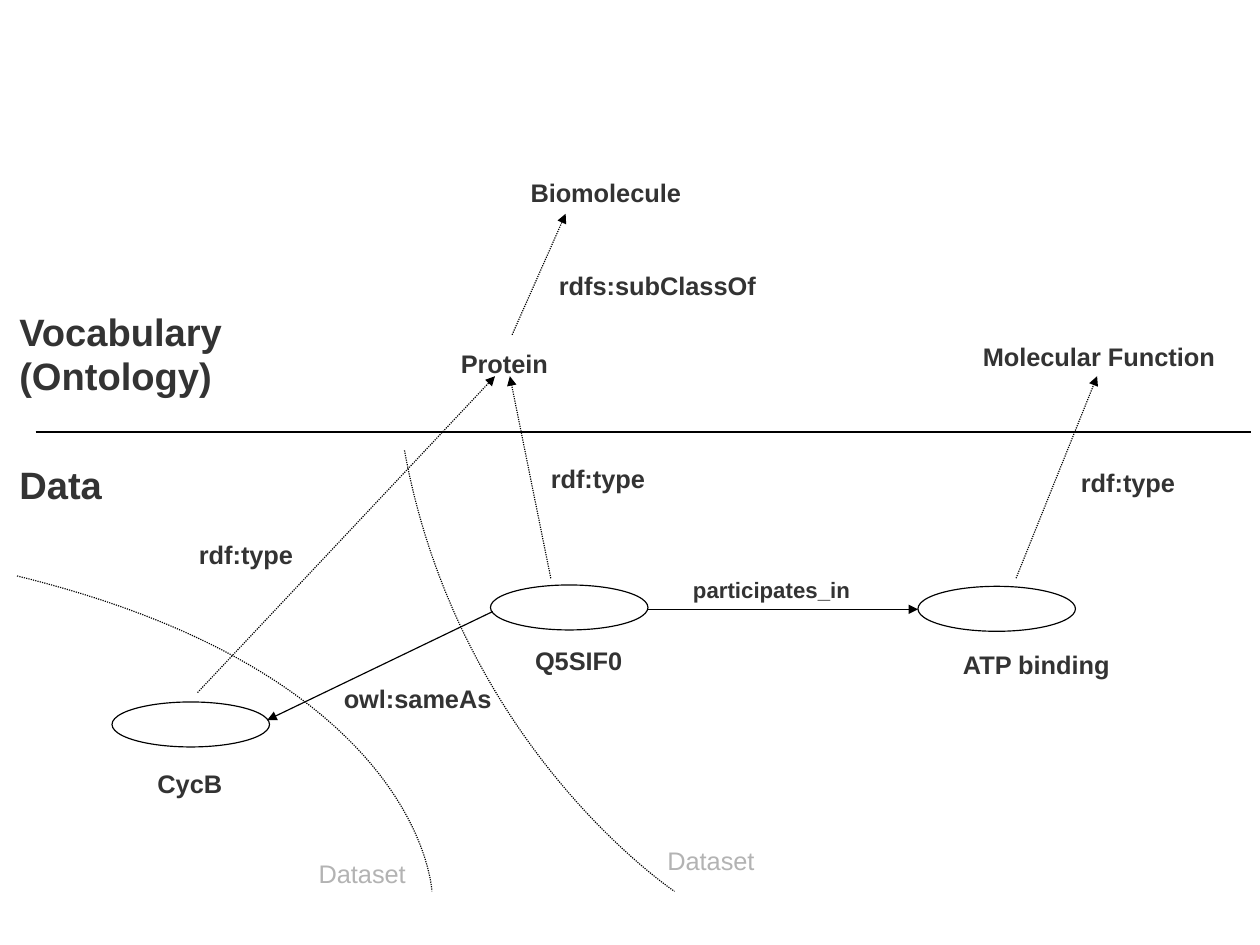
from lxml.etree import SubElement
from pptx import Presentation
from pptx.dml.color import RGBColor
from pptx.enum.dml import MSO_LINE
from pptx.enum.shapes import MSO_CONNECTOR, MSO_SHAPE
from pptx.enum.text import MSO_ANCHOR, PP_ALIGN
from pptx.oxml.ns import qn
from pptx.util import Cm, Pt

# Content: all lengths in cm
SLIDE = (28, 21)
FONT, BLACK, DARK, GREY = "Arial", "000000", "333333", "B3B3B3"
NODE_SIZE = (3.5, 1)
NODES = [(2.49, 15.6), (10.9, 13), (20.4, 13.03)]  # CycB, Q5SIF0, ATP binding

# text, left, top, width, height, size
NODE_LABELS = [
    ("Biomolecule", 11.79, 3.81, 3.81, 1, 16),
    ("Protein", 10.24, 7.6, 2.16, 1, 16),
    ("Q5SIF0", 11.89, 14.2, 2.16, 1, 16),
    ("ATP binding", 21.4, 14.4, 4, 0.81, 16),
    ("participates_in", 15.4, 12.73, 4, 0.81, 14),
]
# text, left, top, width, height, size, colour
PADDED_LABELS = [
    ("Vocabulary\n(Ontology)", 0.18, 6.81, 11.61, 2.18, 24, DARK),
    ("Data", 0.18, 10.19, 11.61, 1.22, 24, DARK),
    ("rdfs:subClassOf", 12.17, 5.92, 6.4, 0.9, 16, DARK),
    ("Molecular Function", 21.59, 7.5, 6.4, 0.9, 16, DARK),
    ("rdf:type", 4.17, 11.91, 3.81, 0.9, 16, DARK),
    ("rdf:type", 11.99, 10.21, 3.81, 0.9, 16, DARK),
    ("rdf:type", 23.77, 10.31, 3.81, 0.9, 16, DARK),
    ("owl:sameAs", 7.39, 15.11, 4, 0.9, 16, DARK),
    ("CycB", 3.25, 16.99, 2.2, 0.9, 16, DARK),
    ("Dataset", 6.83, 19, 4.14, 0.9, 16, GREY),
    ("Dataset", 14.58, 18.69, 4.14, 0.9, 16, GREY),
]

# start, end, dotted, arrow
LINES = [
    ((0.79, 9.6), (27.79, 9.6), False, False),      # vocabulary / data divider
    ((14.38, 13.54), (20.4, 13.54), False, True),   # participates_in
    ((10.95, 13.59), (5.94, 16), False, True),      # owl:sameAs
    ((11.38, 7.44), (12.57, 4.75), True, True),     # rdfs:subClassOf
    ((4.39, 15.39), (11, 8.36), True, True),        # rdf:type of CycB
    ((12.24, 12.85), (11.33, 8.36), True, True),    # rdf:type of Q5SIF0
    ((22.58, 12.85), (24.38, 8.36), True, True),    # rdf:type of ATP binding
]
# start, control point, end
DATASET_BORDERS = [
    ((0.38, 12.8), (9.4, 15.01), (9.6, 19.81)),
    ((8.99, 10.01), (10.19, 16.61), (14.99, 19.81)),
]

prs = Presentation()
prs.slide_width, prs.slide_height = map(Cm, SLIDE)
s = prs.slides.add_slide(prs.slide_layouts[6])


def rgb(colour):
    return RGBColor.from_string(colour)


def style_line(sp, dotted=False):
    sp.line.color.rgb = rgb(BLACK)
    sp.line.width = Pt(0.75)
    if dotted:
        sp.line.dash_style = MSO_LINE.ROUND_DOT


def add_label(text, x, y, w, h, size, colour=DARK, pad=(0, 0), anchor=MSO_ANCHOR.MIDDLE):
    tf = s.shapes.add_textbox(Cm(x), Cm(y), Cm(w), Cm(h)).text_frame
    tf.word_wrap = True
    tf.vertical_anchor = anchor
    tf.margin_left = tf.margin_right = Cm(pad[0])
    tf.margin_top = tf.margin_bottom = Cm(pad[1])
    for i, line in enumerate(text.split("\n")):
        p = tf.add_paragraph() if i else tf.paragraphs[0]
        p.alignment = PP_ALIGN.LEFT
        p.line_spacing = 0.95
        r = p.add_run()
        r.text = line
        r.font.name, r.font.size = FONT, Pt(size)
        r.font.bold = colour == DARK
        r.font.color.rgb = rgb(colour)


def add_line(start, end, dotted, arrow):
    sp = s.shapes.add_connector(MSO_CONNECTOR.STRAIGHT, *map(Cm, start + end))
    style_line(sp, dotted)
    if arrow:
        SubElement(sp.line._get_or_add_ln(), qn("a:tailEnd"), type="triangle")
    SubElement(sp._element.spPr, qn("a:effectLst"))


def add_curve(start, control, end):
    builder = s.shapes.build_freeform(Cm(start[0]), Cm(start[1]))
    builder.add_line_segments([tuple(map(Cm, end))], close=False)
    sp = builder.convert_to_shape()
    # Turn the straight segment into a Bezier curve, relative to its start
    segment = next(sp._element.iter(qn("a:lnTo")))
    segment.tag = qn("a:cubicBezTo")
    segment.remove(segment[0])
    for point in (control, end, end):
        x, y = (int(Cm(v - v0)) for v, v0 in zip(point, start))
        SubElement(segment, qn("a:pt"), x=str(x), y=str(y))
    sp.fill.background()
    sp.shadow.inherit = False
    style_line(sp, dotted=True)


# Nodes
for x, y in NODES:
    sp = s.shapes.add_shape(MSO_SHAPE.OVAL, *map(Cm, (x, y) + NODE_SIZE))
    sp.fill.background()
    sp.shadow.inherit = False
    style_line(sp)

# Relations and dataset borders
for line in LINES:
    add_line(*line)
for border in DATASET_BORDERS:
    add_curve(*border)

# Labels
for label in NODE_LABELS:
    add_label(*label)
for label in PADDED_LABELS:
    add_label(*label, pad=(0.25, 0.13), anchor=MSO_ANCHOR.TOP)

prs.save("out.pptx")
